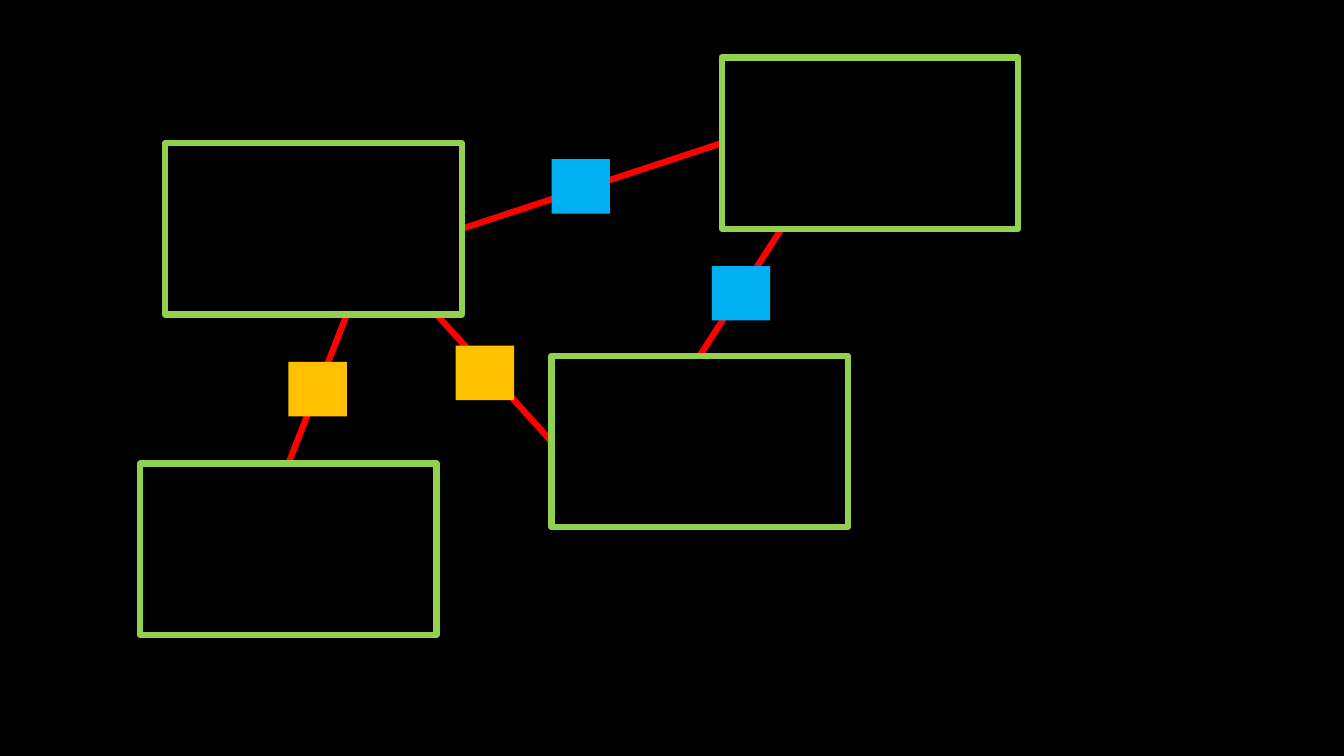
import pptx
import pptx.util
import pptx.dml.color
import pptx.enum.shapes
from pptx.util import Inches

RGBColor = pptx.dml.color.RGBColor
BLACK = RGBColor(0x00, 0x00, 0x00)
RED = RGBColor(0xFF, 0x00, 0x00)
GREEN = RGBColor(0x92, 0xD0, 0x50)
AMBER = RGBColor(0xFF, 0xC0, 0x00)
BLUE = RGBColor(0x00, 0xB0, 0xF0)

BOX_W, BOX_H = 2.94, 1.7
MARKER_W, MARKER_H = 0.58, 0.54
TOP, LEFT, RIGHT = 0, 1, 3  # connection sites of a rectangle


class Diagram:
    line_width = pptx.util.Pt(4.5)

    def __init__(self, slide):
        self.s = slide
        fill = slide.background.fill
        fill.solid()
        fill.fore_color.rgb = BLACK

    def rect(self, x, y, w, h):
        sp = self.s.shapes.add_shape(
            pptx.enum.shapes.MSO_SHAPE.RECTANGLE,
            Inches(x), Inches(y), Inches(w), Inches(h))
        sp.shadow.inherit = False
        return sp

    def box(self, x, y):
        sp = self.rect(x, y, BOX_W, BOX_H)
        sp.fill.background()
        sp.line.color.rgb = GREEN
        sp.line.width = self.line_width
        return sp

    def marker(self, x, y, color):
        sp = self.rect(x, y, MARKER_W, MARKER_H)
        sp.fill.solid()
        sp.fill.fore_color.rgb = color
        sp.line.fill.background()

    def link(self, x1, y1, x2, y2):
        cxn = self.s.shapes.add_connector(
            pptx.enum.shapes.MSO_CONNECTOR.STRAIGHT,
            Inches(x1), Inches(y1), Inches(x2), Inches(y2))
        cxn.line.color.rgb = RED
        cxn.line.width = self.line_width
        cxn._element.spPr.append(pptx.oxml.parse_xml(
            '<a:effectLst xmlns:a="http://schemas.openxmlformats.org/drawingml/2006/main"/>'))
        return cxn


def main():
    prs = pptx.Presentation()
    prs.slide_width, prs.slide_height = Inches(13.33), Inches(7.5)
    d = Diagram(prs.slides.add_slide(prs.slide_layouts[6]))

    # Links, behind the boxes
    center_to_left = d.link(5.47, 4.38, 4.33, 3.12)
    bottom_to_left = d.link(2.86, 4.6, 3.44, 3.12)
    left_to_right = d.link(4.58, 2.27, 7.16, 1.42)
    center_to_right = d.link(6.94, 3.53, 7.75, 2.27)

    # Boxes
    center_box = d.box(5.47, 3.53)
    left_box = d.box(1.64, 1.42)
    right_box = d.box(7.16, 0.57)
    bottom_box = d.box(1.39, 4.6)

    # Join the links that end mid-side
    center_to_left.begin_connect(center_box, LEFT)
    bottom_to_left.begin_connect(bottom_box, TOP)
    left_to_right.begin_connect(left_box, RIGHT)
    left_to_right.end_connect(right_box, LEFT)
    center_to_right.begin_connect(center_box, TOP)

    # Markers on the links
    for x, y, color in [(2.86, 3.59, AMBER), (5.47, 1.58, BLUE),
                        (7.06, 2.64, BLUE), (4.52, 3.43, AMBER)]:
        d.marker(x, y, color)

    prs.save("out.pptx")


if __name__ == "__main__":
    main()
